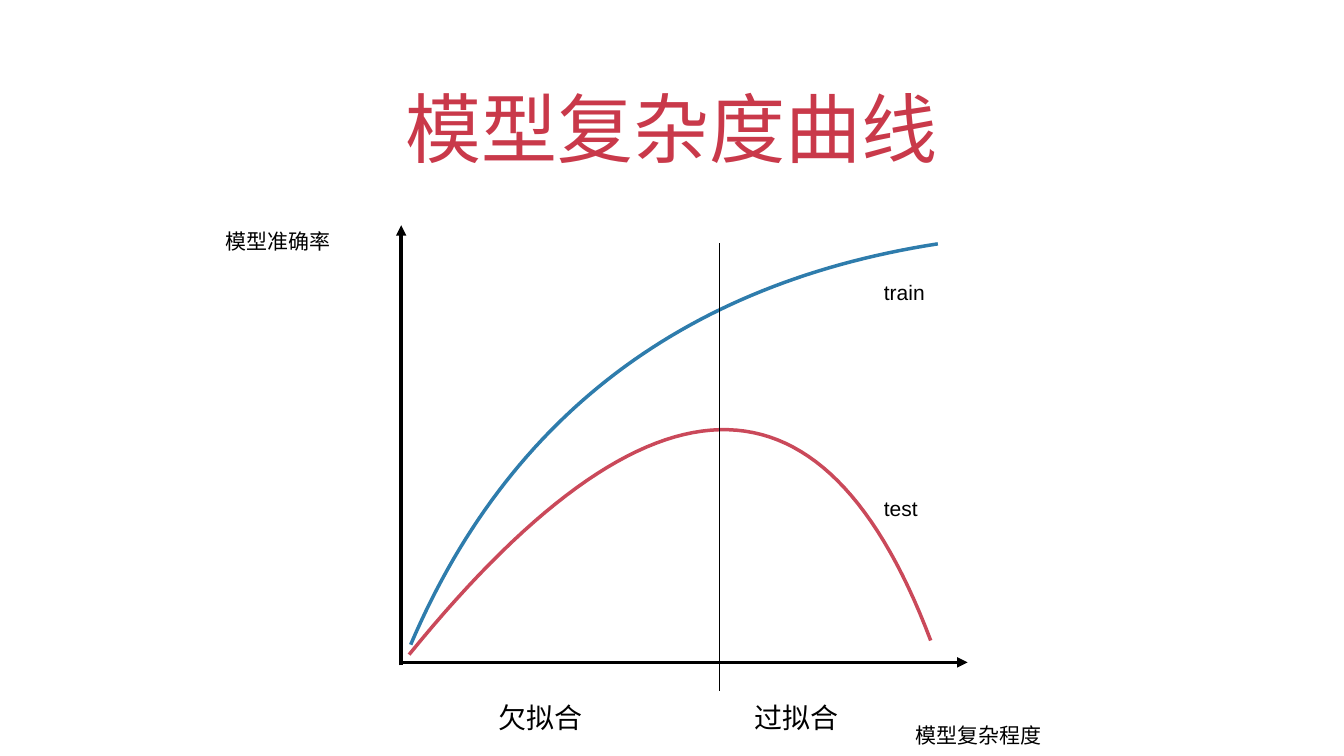
from dataclasses import dataclass

from lxml import etree
from pptx import Presentation
from pptx import util as u
from pptx.dml.color import RGBColor
from pptx.enum import shapes, text
from pptx.oxml.ns import qn


@dataclass(frozen=True)
class Theme:
    font: str = "Arial"
    title_color: str = "C9394A"
    ink: str = "000000"
    train: str = "2E7CAC"
    test: str = "CA495A"
    title_size: float = 108.6
    zone_size: float = 40
    label_size: float = 30
    thick: float = 5
    thin: float = 2


class SlideBuilder:
    def __init__(self, page, theme):
        self.page = page
        self.theme = theme

    def label(self, words, left, top, width, height, size, color=None,
              align=text.PP_ALIGN.LEFT, anchor=text.MSO_ANCHOR.MIDDLE, spacing=1.5):
        box = self.page.shapes.add_textbox(
            u.Cm(left), u.Cm(top), u.Cm(width), u.Cm(height))
        frame = box.text_frame
        frame.word_wrap = True
        frame.vertical_anchor = anchor
        frame.margin_left = frame.margin_right = u.Cm(0.15)
        frame.margin_top = frame.margin_bottom = u.Cm(0.15)
        para = frame.paragraphs[0]
        para.text = words
        para.alignment = align
        para.line_spacing = spacing
        para.font.name = self.theme.font
        para.font.size = u.Pt(size)
        para.font.color.rgb = RGBColor.from_string(color or self.theme.ink)

    def line(self, start, end, weight, arrow=False):
        connector = self.page.shapes.add_connector(
            shapes.MSO_CONNECTOR.STRAIGHT, *map(u.Cm, start + end))
        connector.line.width = u.Pt(weight)
        connector.line.color.rgb = RGBColor.from_string(self.theme.ink)
        if arrow:
            etree.SubElement(connector.line._get_or_add_ln(),
                             qn("a:tailEnd"), type="triangle")
        etree.SubElement(connector._element.spPr, qn("a:effectLst"))

    def curve(self, controls, color, steps=60):
        """Draw a cubic Bezier curve through its four control points."""
        def point(t):
            weights = ((1 - t) ** 3, 3 * t * (1 - t) ** 2, 3 * t ** 2 * (1 - t), t ** 3)
            return tuple(u.Cm(sum(w * c[axis] for w, c in zip(weights, controls)))
                         for axis in (0, 1))

        points = [point(i / steps) for i in range(steps + 1)]
        builder = self.page.shapes.build_freeform(*points[0])
        builder.add_line_segments(points[1:], close=False)
        shape = builder.convert_to_shape()
        shape.shadow.inherit = False
        shape.fill.background()
        shape.line.width = u.Pt(self.theme.thick)
        shape.line.color.rgb = RGBColor.from_string(color)


def main():
    theme = Theme()
    deck = Presentation()
    deck.slide_width, deck.slide_height = u.Cm(67.74), u.Cm(38.1)
    slide = SlideBuilder(deck.slides.add_slide(deck.slide_layouts[6]), theme)

    # Title
    slide.label("模型复杂度曲线", 4.93, 3.23, 57.86, 5.64, theme.title_size,
                theme.title_color, text.PP_ALIGN.CENTER, text.MSO_ANCHOR.BOTTOM, 1)

    # Axes and their names
    slide.line((20.22, 33.53), (20.22, 11.35), theme.thick, arrow=True)
    slide.line((20.14, 33.38), (48.77, 33.38), theme.thick, arrow=True)
    slide.label("模型准确率", 11.2, 10.69, 8.84, 2.29, theme.label_size)
    slide.label("模型复杂程度", 46, 34.26, 10.54, 4.93, theme.label_size)

    # Accuracy curves and their names
    curves = (
        ("test", theme.test, 24.28,
         ((20.62, 32.99), (32.72, 18.11), (41.48, 17.88), (46.91, 32.28))),
        ("train", theme.train, 13.39,
         ((20.7, 32.49), (25.6, 21.01), (34.47, 14.27), (47.27, 12.29))),
    )
    for name, color, top, controls in curves:
        slide.curve(controls, color)
        slide.label(name, 44.4, top, 8.84, 2.03, theme.label_size)

    # Boundary between underfitting and overfitting
    slide.line((36.27, 34.82), (36.27, 12.24), theme.thin)
    for name, left in (("欠拟合", 24.99), ("过拟合", 37.87)):
        slide.label(name, left, 34.24, 9.65, 2.95, theme.zone_size)

    deck.save("out.pptx")


if __name__ == "__main__":
    main()
